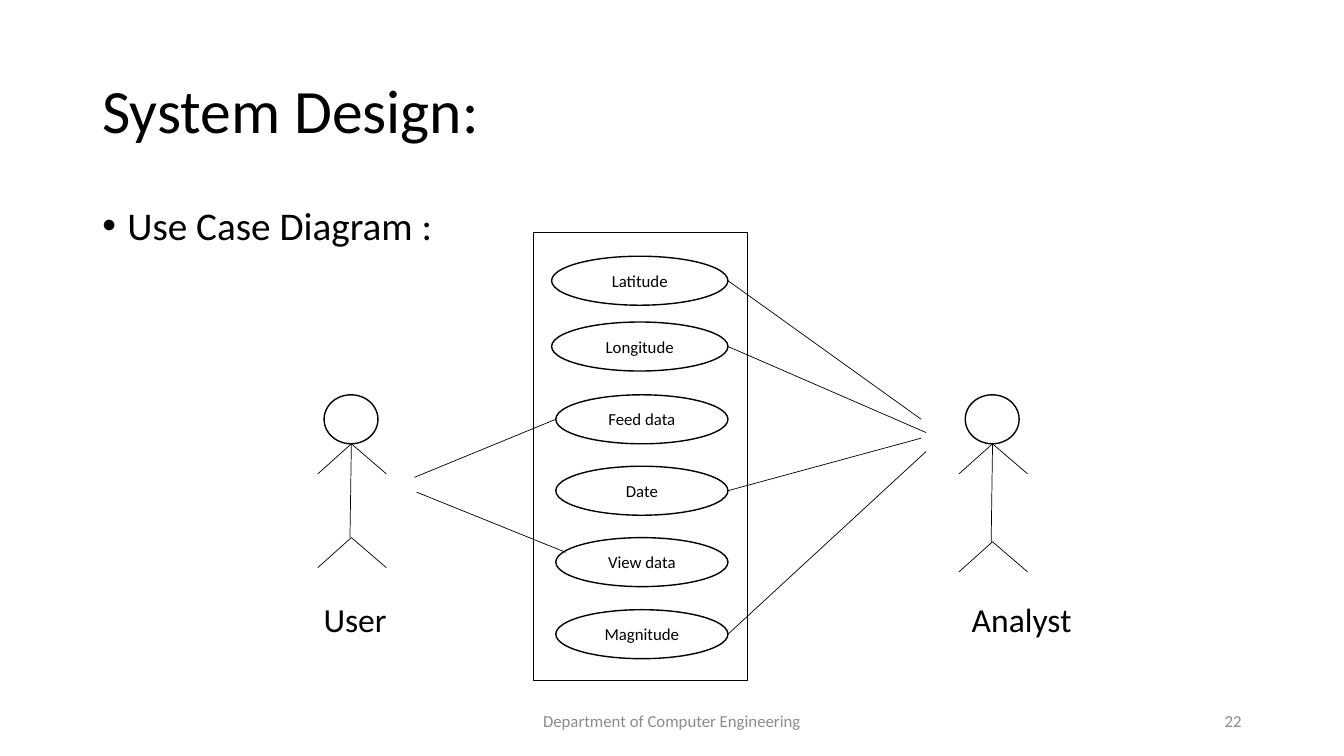
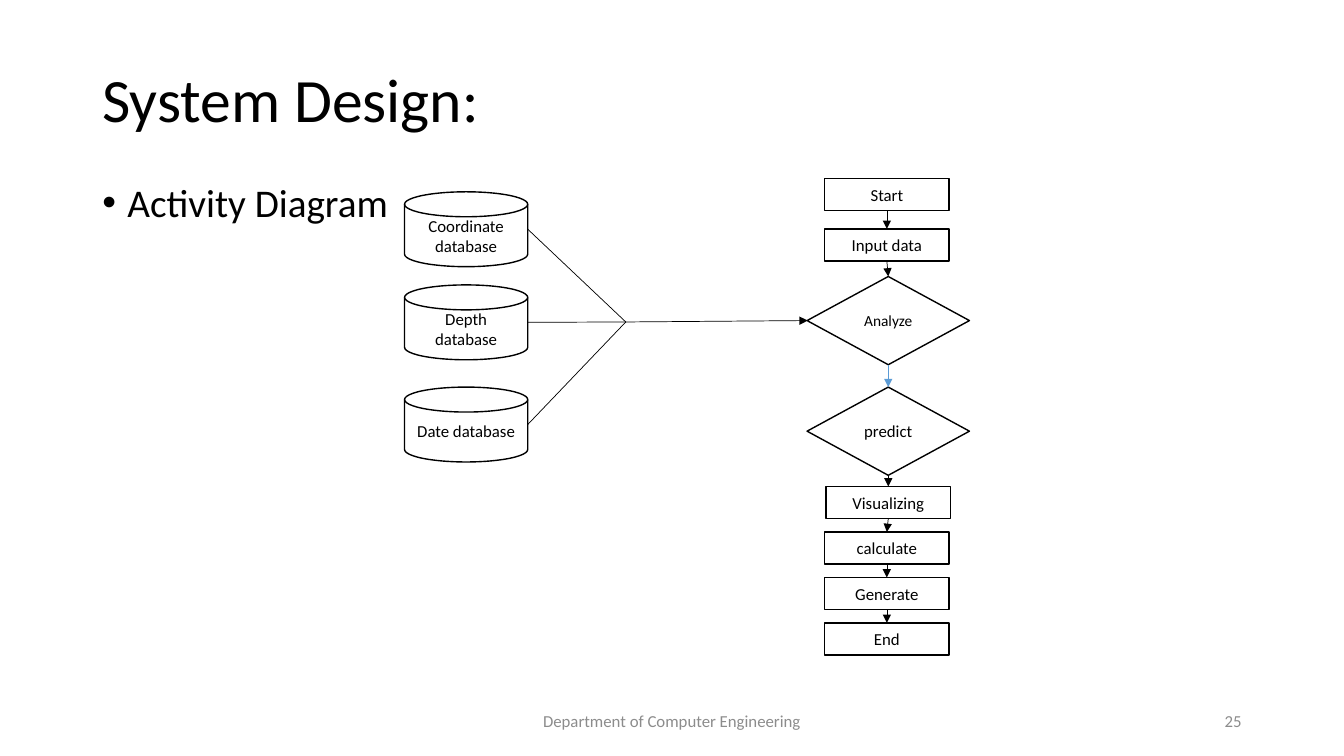
from lxml import etree
from pptx import Presentation, util as u
from pptx.dml import color as dml
from pptx.enum import shapes, text
from pptx.oxml import ns

Pt = u.Pt
COLORS = {"ink": "000000", "paper": "FFFFFF", "footer": "8C8C8C", "accent": "5B9BD5"}
LEFT, CENTER, RIGHT = text.PP_ALIGN.LEFT, text.PP_ALIGN.CENTER, text.PP_ALIGN.RIGHT
TOP, MIDDLE = text.MSO_ANCHOR.TOP, text.MSO_ANCHOR.MIDDLE
SHAPE, LINE = shapes.MSO_SHAPE, shapes.MSO_CONNECTOR.STRAIGHT
HEADING = {"line_spacing": 0.9}
BODY = {"line_spacing": 0.9, "space_before": Pt(10)}


def add_box(slide, kind, box, words="", size=12, color="ink", align=CENTER, anchor=MIDDLE, spacing=None):
    """Add an outlined shape, or a plain text box when kind is None."""
    box = [Pt(value) for value in box]
    if kind is None:
        shape = slide.shapes.add_textbox(*box)
    else:
        shape = slide.shapes.add_shape(kind, *box)
        shape.shadow.inherit = False
        shape.fill.solid()
        shape.fill.fore_color.rgb = dml.RGBColor.from_string(COLORS["paper"])
        shape.line.color.rgb = dml.RGBColor.from_string(COLORS["ink"])
        shape.line.width = Pt(1)
    frame = shape.text_frame
    paragraph = frame.paragraphs[0]
    paragraph.text = words
    paragraph.font.color.rgb = dml.RGBColor.from_string(COLORS[color])
    formats = [
        (frame, {"word_wrap": True, "vertical_anchor": anchor}),
        (paragraph, {"alignment": align, **(spacing or {})}),
        (paragraph.font, {"name": "Calibri", "size": Pt(size)}),
    ]
    for target, values in formats:
        for name, value in values.items():
            setattr(target, name, value)
    return shape


def add_line(slide, start, end, color="ink", arrow=False):
    connector = slide.shapes.add_connector(LINE, *[Pt(value) for value in (*start, *end)])
    connector.line.color.rgb = dml.RGBColor.from_string(COLORS[color])
    connector.line.width = Pt(0.5)
    if arrow:
        etree.SubElement(connector.line._get_or_add_ln(), ns.qn("a:tailEnd"), type="triangle")
    etree.SubElement(connector._element.spPr, ns.qn("a:effectLst"))


presentation = Presentation()
presentation.slide_width, presentation.slide_height = Pt(960), Pt(540)

# Title, bullet and footer of both slides
pages = [("Use Case Diagram :", 104, 144, "22"), ("Activity Diagram", 89, 127.5, "25")]
slides = []
for topic, title_height, body_top, number in pages:
    slide = presentation.slides.add_slide(presentation.slide_layouts[6])
    add_box(slide, None, (66, 29, 828, title_height), "System Design:", 44, align=LEFT, spacing=HEADING)
    body = add_box(slide, None, (66, body_top, 828, 486 - body_top), topic, 28,
                   align=LEFT, anchor=TOP, spacing=BODY)
    properties = body.text_frame.paragraphs[0]._p.get_or_add_pPr()
    properties.set("marL", str(Pt(18)))
    properties.set("indent", str(-Pt(18)))
    etree.SubElement(properties, ns.qn("a:buFont"), typeface="Arial")
    etree.SubElement(properties, ns.qn("a:buChar"), char="•")
    add_box(slide, None, (318, 500.5, 324, 28.75), "Department of Computer Engineering", color="footer")
    add_box(slide, None, (678, 500.5, 216, 28.75), number, color="footer", align=RIGHT)
    slides.append(slide)
use_case, activity = slides

# Use cases inside the system boundary
add_box(use_case, SHAPE.RECTANGLE, (381, 166, 153, 320))
case_right, case_height = 520, 35
cases = [("Latitude", 394, 183), ("Longitude", 394, 230), ("Feed data", 397, 282),
         ("Date", 397, 333), ("View data", 397, 384), ("Magnitude", 397, 435.5)]
case_middles = {}
for name, left, top in cases:
    add_box(use_case, SHAPE.OVAL, (left, top, case_right - left, case_height), name)
    case_middles[name] = top + case_height / 2

# Actors as stick figures
for name, center, hip, label_left in [("User", 251, 384, 224), ("Analyst", 709, 387, 687)]:
    add_box(use_case, SHAPE.OVAL, (center - 19.5, 282, 38.5, 35))
    add_line(use_case, (center, 317), (center - 1, hip))
    for joint, limb_end in [(317, 338.5), (hip, hip + 21.5)]:
        for side in (-24, 25):
            add_line(use_case, (center, joint), (center + side, limb_end))
    add_box(use_case, None, (label_left, 426, 120, 36), name, 24, align=LEFT, spacing=HEADING)

# Links from actors to use cases
add_line(use_case, (296, 341), (397, case_middles["Feed data"]))
add_line(use_case, (297.5, 351.5), (404, 394.5))
analyst_links = [("Latitude", 658, 299.5), ("Longitude", 661.5, 309),
                 ("Date", 658, 313), ("Magnitude", 661.5, 322.5)]
for name, x, y in analyst_links:
    add_line(use_case, (case_right, case_middles[name]), (x, y))

# Databases feeding the analysis
disk_left, disk_width, disk_height = 289, 88, 53.5
join = (447, 230)
for name, top in [("Coordinate database", 137), ("Depth database", 203.5), ("Date database", 276.5)]:
    add_box(activity, SHAPE.FLOWCHART_MAGNETIC_DISK, (disk_left, top, disk_width, disk_height), name)
    add_line(activity, (disk_left + disk_width, top + disk_height / 2), join)
add_line(activity, join, (577, 229), arrow=True)

# Activity flow, each step joined to the one before
sizes = {SHAPE.RECTANGLE: (89, 23), SHAPE.FLOWCHART_DECISION: (116, 63)}
steps = [
    ("Start", SHAPE.RECTANGLE, 633.5, 127.5, 12, "ink"),
    ("Input data", SHAPE.RECTANGLE, 633.5, 163.5, 12, "ink"),
    ("Analyze", SHAPE.FLOWCHART_DECISION, 634.5, 197.5, 11, "ink"),
    ("predict", SHAPE.FLOWCHART_DECISION, 634.5, 276.5, 12, "accent"),
    ("Visualizing", SHAPE.RECTANGLE, 634.5, 347.5, 12, "ink"),
    ("calculate", SHAPE.RECTANGLE, 633.5, 380, 12, "ink"),
    ("Generate", SHAPE.RECTANGLE, 633.5, 412.5, 12, "ink"),
    ("End", SHAPE.RECTANGLE, 633.5, 445, 12, "ink"),
]
step_end = None
for name, kind, center, top, size, arrow_color in steps:
    width, height = sizes[kind]
    add_box(activity, kind, (center - width / 2, top, width, height), name, size)
    if step_end:
        add_line(activity, step_end, (center, top), arrow_color, arrow=True)
    step_end = (center, top + height)

presentation.save("out.pptx")
